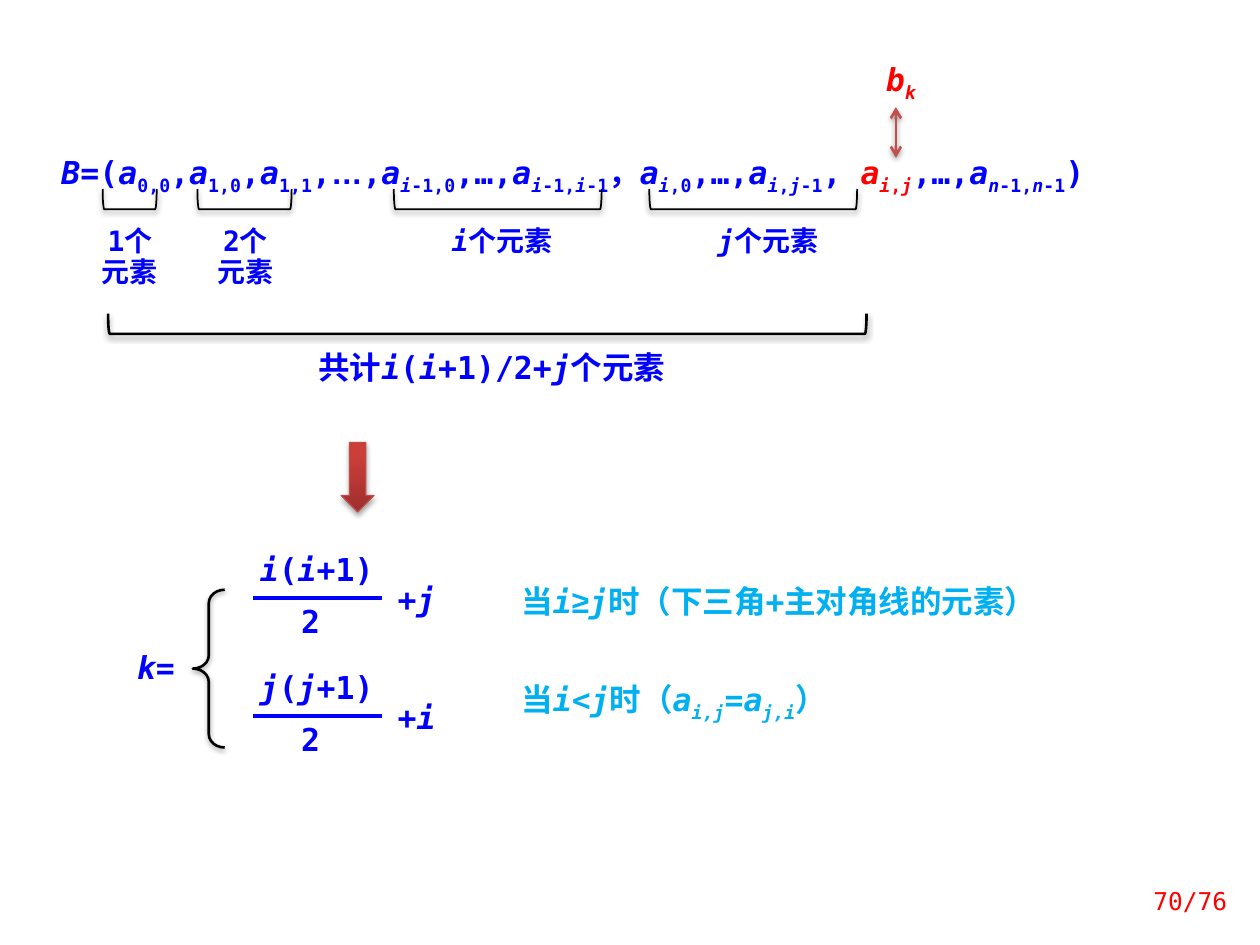
import itertools

import lxml.etree
import pptx
import pptx.dml.color
import pptx.enum.shapes
import pptx.enum.text
import pptx.oxml.ns
import pptx.util

Cm = pptx.util.Cm
Pt = pptx.util.Pt
SHAPE = pptx.enum.shapes.MSO_SHAPE
ALIGN = pptx.enum.text.PP_ALIGN

MONO = "DejaVu Sans Mono"
BLUE, CYAN, RED, BLACK = "0000FF", "00B0F0", "FF0000", "000000"
SEQUENCE = (
    "*B*=(*a*_0,0_,*a*_1,0_,*a*_1,1_,~…~,*a_i*-1,0_,…,*a_i*-1,*i*-1_，"
    "*a_i*,0_,…,*a_i*,*j*-1_, ^*a_i*,*j*_^,…,*a_n*-1,*n*-1_)"
)


def rgb(color):
    """Turn a hex string into a colour."""
    return pptx.dml.color.RGBColor.from_string(color)


def styled_symbols(markup):
    """Yield each symbol with its marks: * italic, _ subscript, ~ Arial, ^ red."""
    marks = frozenset()
    for symbol in markup:
        if symbol in "*_~^":
            marks ^= {symbol}
        else:
            yield symbol, marks


def add_runs(paragraph, markup):
    """Write marked-up text as runs."""
    for marks, symbols in itertools.groupby(styled_symbols(markup), lambda pair: pair[1]):
        run = paragraph.add_run()
        run.text = "".join(symbol for symbol, _ in symbols)
        if "*" in marks:
            run.font.italic = True
        if "_" in marks:
            run.font._element.set("baseline", "-25000")
        if "~" in marks:
            run.font.name = "Arial"
        if "^" in marks:
            run.font.color.rgb = rgb(RED)


def add_text(slide, markup, left, top, width, height, color=BLUE, size=18,
             align=ALIGN.LEFT, spacing=0.8, bold=True, inset=True, grow=True):
    """Add a text box with one paragraph per line of markup."""
    box = slide.shapes.add_textbox(Cm(left), Cm(top), Cm(width), Cm(height))
    frame = box.text_frame
    frame.word_wrap = True
    if grow:
        frame.auto_size = pptx.enum.text.MSO_AUTO_SIZE.SHAPE_TO_FIT_TEXT
    else:
        frame.vertical_anchor = pptx.enum.text.MSO_ANCHOR.MIDDLE
    if not inset:
        frame.margin_left = frame.margin_right = 0
        frame.margin_top = frame.margin_bottom = 0
    for index, line in enumerate(markup.split("\n")):
        paragraph = frame.add_paragraph() if index else frame.paragraphs[0]
        paragraph.alignment = align
        paragraph.line_spacing = spacing
        paragraph.font.name = MONO
        paragraph.font.size = Pt(size)
        paragraph.font.bold = bold
        paragraph.font.color.rgb = rgb(color)
        add_runs(paragraph, line)


def add_effects(shape, alpha=None, distance=1.6):
    """Give a shape a soft shadow below it, or none without an alpha."""
    qn = pptx.oxml.ns.qn
    properties = shape._element.spPr
    effects = lxml.etree.SubElement(properties, qn("a:effectLst"))
    if alpha:
        shadow = lxml.etree.SubElement(
            effects, qn("a:outerShdw"), blurRad=str(Pt(3.1)), dist=str(Pt(distance)),
            dir="5400000", rotWithShape="0")
        color = lxml.etree.SubElement(shadow, qn("a:srgbClr"), val=BLACK)
        lxml.etree.SubElement(color, qn("a:alpha"), val=str(alpha * 1000))


def add_outline(slide, kind, left, top, width, height, line_width):
    """Add an unfilled black shape with a shadow."""
    shape = slide.shapes.add_shape(kind, Cm(left), Cm(top), Cm(width), Cm(height))
    shape.fill.background()
    shape.line.color.rgb = rgb(BLACK)
    shape.line.width = Pt(line_width)
    add_effects(shape, 38)
    return shape


def add_under_bracket(slide, left, top, width, line_width=1):
    """Add a bracket that opens upwards, placed by its visible box."""
    depth = 0.41
    middle_x, middle_y = left + width / 2, top + depth / 2
    bracket = add_outline(slide, SHAPE.LEFT_BRACKET, middle_x - depth / 2,
                          middle_y - width / 2, depth, width, line_width)
    bracket.rotation = 270


def add_line(slide, start, end, color, width):
    """Add a straight line."""
    line = slide.shapes.add_connector(
        pptx.enum.shapes.MSO_CONNECTOR.STRAIGHT, *map(Cm, start + end))
    line.line.color.rgb = rgb(color)
    line.line.width = Pt(width)
    return line


def add_double_arrow(slide, start, end):
    """Add a shadowed line with an arrowhead at both ends."""
    arrow = add_line(slide, start, end, "C0504D", 1.5)
    for tag in ("a:headEnd", "a:tailEnd"):
        lxml.etree.SubElement(arrow.line._get_or_add_ln(), pptx.oxml.ns.qn(tag), type="arrow")
    add_effects(arrow, 38)


def add_down_arrow(slide, left, top, width, height):
    """Add a red block arrow with a gradient."""
    arrow = slide.shapes.add_shape(SHAPE.DOWN_ARROW, Cm(left), Cm(top), Cm(width), Cm(height))
    arrow.fill.gradient()
    arrow.fill.gradient_angle = 90
    for stop, color, position in zip(arrow.fill.gradient_stops, ("9C2F2D", "CB3E3A"), (0, 0.8)):
        stop.color.rgb = rgb(color)
        stop.position = position
    arrow.line.color.rgb = rgb("BF4C48")
    arrow.line.width = Pt(0.75)
    add_effects(arrow, 35, 1.8)


def add_fraction(slide, top, numerator, addend):
    """Add a numerator over 2, followed by an addend."""
    for markup, left, offset, width in (
        (numerator, 4.9, 0, 2.97),
        ("2", 5.56, 1.06, 1.4),
        (addend, 7.7, 0.61, 1.4),
    ):
        add_text(slide, markup, left, top + offset, width, 0.61,
                 align=ALIGN.CENTER, inset=False)
    bar = add_line(slide, (5.11, top + 0.83), (7.7, top + 0.83), BLUE, 2.25)
    add_effects(bar)


def main():
    """Build the slide and save it."""
    presentation = pptx.Presentation()
    presentation.slide_width, presentation.slide_height = Cm(25.4), Cm(19.05)
    slide = presentation.slides.add_slide(presentation.slide_layouts[6])

    add_text(slide, SEQUENCE, 0.99, 3.05, 22.63, 0.86)
    add_text(slide, "*b_k_*", 17.27, 1.17, 1.78, 0.89, RED, align=ALIGN.CENTER)
    add_double_arrow(slide, (18.06, 2.16), (18.06, 3.18))

    for left, width in ((2.07, 1.09), (3.98, 1.9), (7.94, 4.19), (13.09, 4.19)):
        add_under_bracket(slide, left, 3.81, width)
    for markup, left, top, width, height, spacing in (
        ("1个\n元素", 1.73, 4.42, 1.78, 1.55, Pt(18)),
        ("2个\n元素", 3.96, 4.42, 1.98, 1.55, Pt(18)),
        ("*i*个元素", 8.33, 4.52, 3.58, 0.81, 0.8),
        ("*j*个元素", 13.69, 4.52, 3.58, 0.81, 0.8),
    ):
        add_text(slide, markup, left, top, width, height, size=16,
                 align=ALIGN.CENTER, spacing=spacing)

    add_under_bracket(slide, 2.18, 6.32, 15.29, 1.5)
    add_text(slide, "共计*i*(*i*+1)/2+*j*个元素", 5.94, 7.04, 7.95, 0.86, align=ALIGN.CENTER)
    add_down_arrow(slide, 6.88, 8.92, 0.66, 1.4)

    add_text(slide, "*k*=", 2.51, 13.08, 1.7, 0.86)
    brace = add_outline(slide, SHAPE.LEFT_BRACE, 3.89, 11.89, 0.64, 3.18, 1.5)
    brace.adjustments[0] = 0.42
    add_fraction(slide, 11.23, "*i*(*i*+1)", "+*j*")
    add_fraction(slide, 13.61, "*j*(*j*+1)", "+*i*")
    add_text(slide, "当*i*~≥~*j*时（下三角+主对角线的元素）", 10.26, 11.76, 11.96, 0.86, CYAN)
    add_text(slide, "当*i*<*j*时（*a_i,j_*=*a_j,i_*）", 10.26, 13.67, 7.54, 0.86, CYAN)

    add_text(slide, "70/76", 22.3, 17.65, 2.69, 1.02, RED, size=14,
             align=ALIGN.RIGHT, spacing=1.0, bold=False, grow=False)
    presentation.save("out.pptx")


if __name__ == "__main__":
    main()
